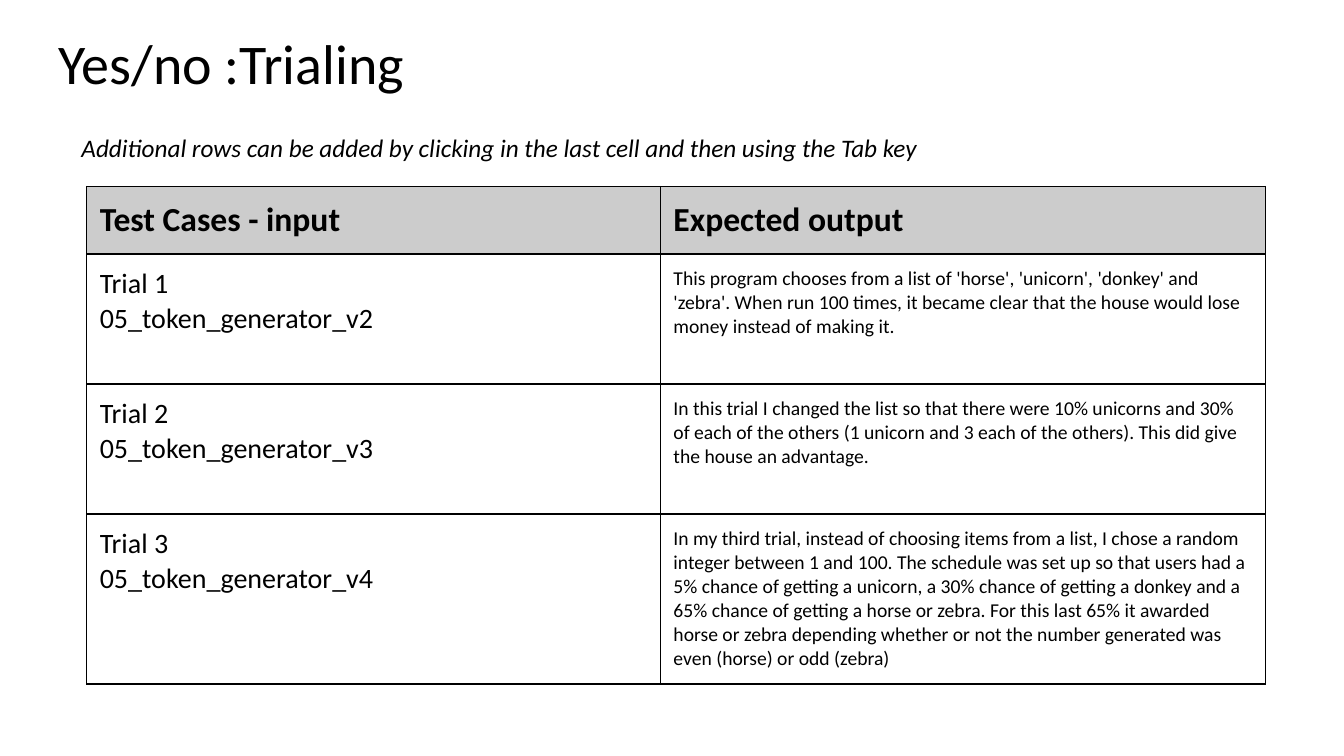
import pptx
import pptx.util
import pptx.dml.color
import pptx.enum.text
import pptx.oxml
import pptx.oxml.ns

Inches = pptx.util.Inches
COLORS = {"ink": "000000", "head": "CCCCCC"}
HEADS = ["Test Cases - input", "Expected output"]
TRIALS = [
    (["Trial 1", "05_token_generator_v2"],
     "This program chooses from a list of 'horse', 'unicorn', 'donkey' and 'zebra'. "
     "When run 100 times, it became clear that the house would lose money instead of making it."),
    (["Trial 2", "05_token_generator_v3"],
     "In this trial I changed the list so that there were 10% unicorns and 30% of each of the "
     "others (1 unicorn and 3 each of the others). This did give the house an advantage."),
    (["Trial 3", "05_token_generator_v4"],
     "In my third trial, instead of choosing items from a list, I chose a random integer between "
     "1 and 100. The schedule was set up so that users had a 5% chance of getting a unicorn, a 30% "
     "chance of getting a donkey and a 65% chance of getting a horse or zebra. For this last 65% it "
     "awarded horse or zebra depending whether or not the number generated was even (horse) or odd (zebra)"),
]
WIDTHS = [5.69, 6]
HEIGHTS = [0.67, 1.29, 1.29, 1.69]


def color(name):
    return pptx.dml.color.RGBColor.from_string(COLORS[name])


def write(frame, lines, size, bold=False, italic=False):
    para = frame.paragraphs[0]
    para.alignment = pptx.enum.text.PP_ALIGN.LEFT
    for num, line in enumerate(lines):
        if num:
            para.add_line_break()
        run = para.add_run()
        run.text = line
        font = run.font
        font.name = "Calibri"
        font.size = pptx.util.Pt(size)
        font.bold = bold
        font.italic = italic
        font.color.rgb = color("ink")
    return para


def pad(box):
    box.margin_left = box.margin_right = Inches(0.13)
    box.margin_top = box.margin_bottom = Inches(0.13)


def add_title(slide, text):
    title = slide.shapes.title
    title.left, title.top = Inches(0.45), Inches(0.24)
    title.width, title.height = Inches(12.42), Inches(0.84)
    frame = title.text_frame
    frame.word_wrap = True
    frame.auto_size = pptx.enum.text.MSO_AUTO_SIZE.NONE
    frame.vertical_anchor = pptx.enum.text.MSO_ANCHOR.MIDDLE
    pad(frame)
    write(frame, [text], 40).line_spacing = 0.9


def add_hint(slide, text):
    box = slide.shapes.add_textbox(Inches(0.71), Inches(1.26), Inches(10.94), Inches(0.4))
    box.text_frame.word_wrap = True
    write(box.text_frame, [text], 18, italic=True)


def add_edges(cell, base):
    props = cell._tc.get_or_add_tcPr()
    space = pptx.oxml.ns.nsdecls("a")
    sides = [("lnL", 1), ("lnR", 1), ("lnT", 1), ("lnB", base)]
    for spot, (side, width) in enumerate(sides):
        edge = pptx.oxml.parse_xml(
            f'<a:{side} {space} w="{pptx.util.Pt(width)}"><a:solidFill>'
            f'<a:srgbClr val="{COLORS["ink"]}"/></a:solidFill></a:{side}>')
        props.insert(spot, edge)


def fill_cell(cell, lines, size, head=False, base=1):
    pad(cell)
    cell.vertical_anchor = pptx.enum.text.MSO_ANCHOR.TOP
    if head:
        cell.fill.solid()
        cell.fill.fore_color.rgb = color("head")
    else:
        cell.fill.background()
    write(cell.text_frame, lines, size, bold=head)
    add_edges(cell, base)


def add_grid(slide):
    frame = slide.shapes.add_table(
        len(HEIGHTS), len(WIDTHS), Inches(0.86), Inches(1.85),
        Inches(sum(WIDTHS)), Inches(sum(HEIGHTS)))
    table = frame.table
    table.horz_banding = False
    for col, width in zip(table.columns, WIDTHS):
        col.width = Inches(width)
    for row, height in zip(table.rows, HEIGHTS):
        row.height = Inches(height)
    for col, head in enumerate(HEADS):
        fill_cell(table.cell(0, col), [head], 24, head=True)
    for row, (names, result) in enumerate(TRIALS, 1):
        base = 1 if row == 1 else 1.5
        fill_cell(table.cell(row, 0), names, 20, base=base)
        fill_cell(table.cell(row, 1), [result], 14, base=base)


def main():
    deck = pptx.Presentation()
    deck.slide_width, deck.slide_height = Inches(13.33), Inches(7.5)
    slide = deck.slides.add_slide(deck.slide_layouts[5])
    add_title(slide, "Yes/no :Trialing")
    add_grid(slide)
    add_hint(slide, "Additional rows can be added by clicking in the last cell and then using the Tab key")
    deck.save("out.pptx")


if __name__ == "__main__":
    main()
